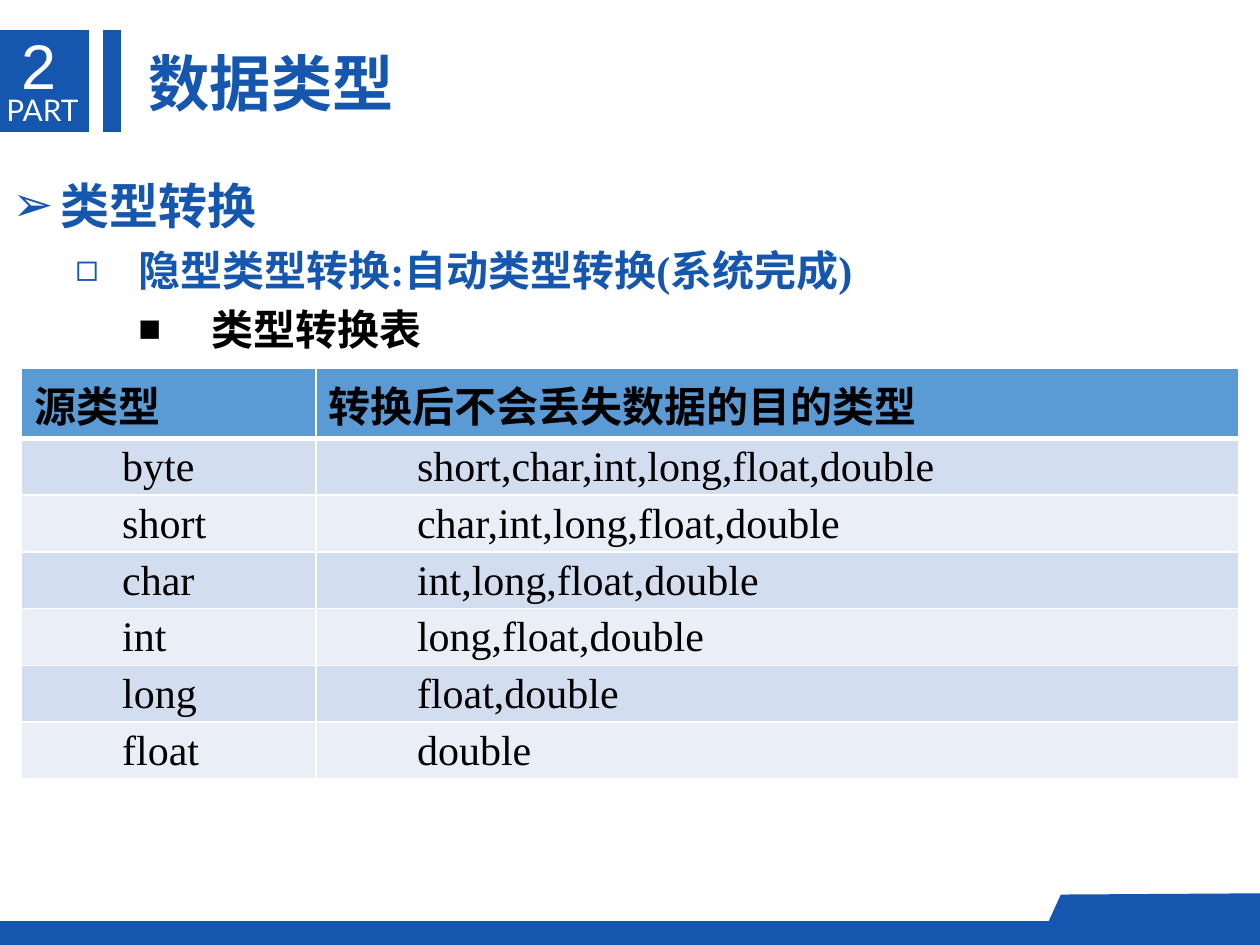
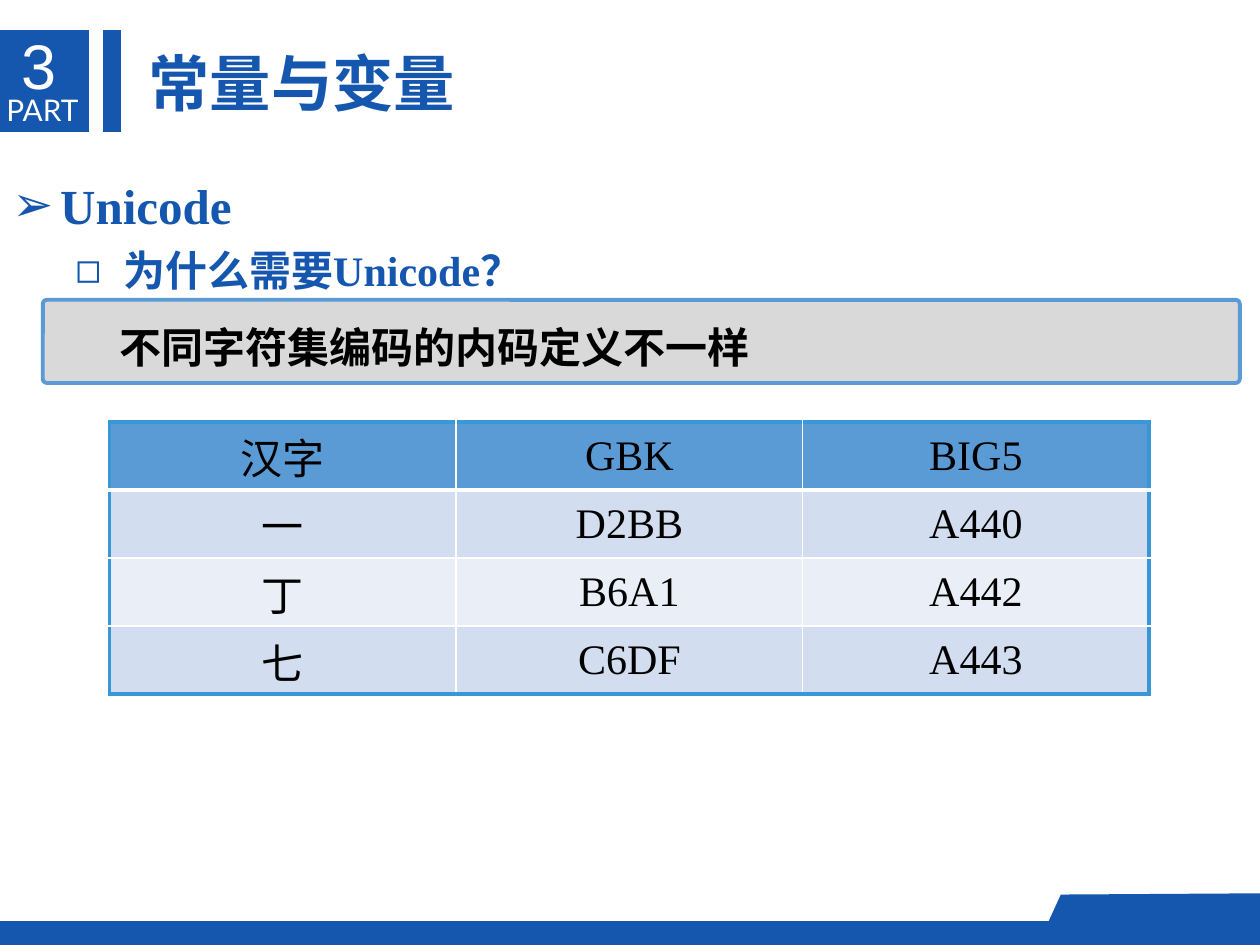
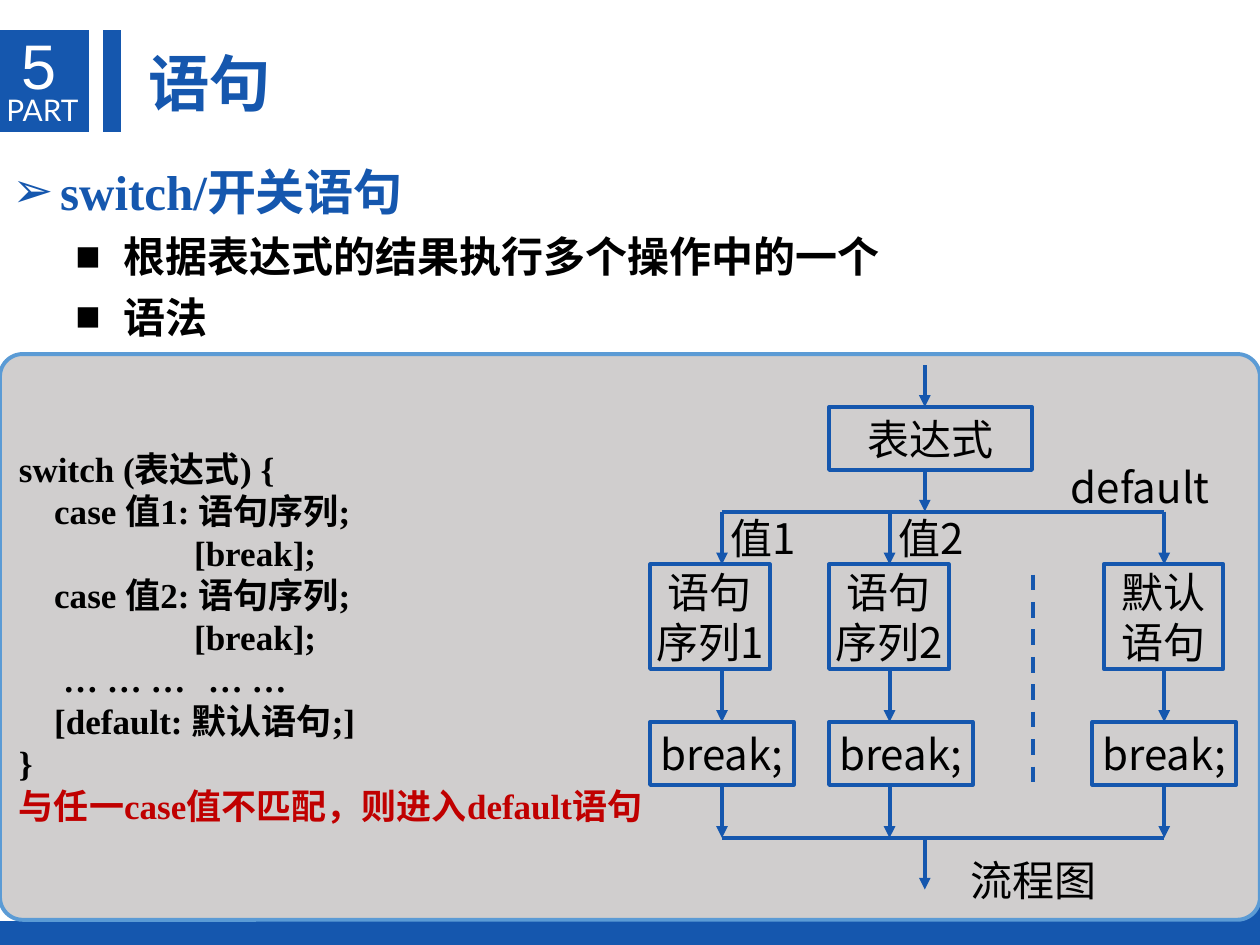
"""Build three Java lesson slides: type conversion, Unicode and the switch statement."""
from lxml import etree
from pptx import Presentation, util as u
from pptx.dml.color import RGBColor
from pptx.enum import dml, shapes, text
from pptx.oxml import ns

COLORS = dict(blue="1557AE", white="FFFFFF", black="000000", red="C00000", header="5B9BD5",
              odd="D2DEEF", even="EAEFF7", frame="3A97D7", note="D9D9D9", panel="D0CECE")
SERIF, SANS = "Times New Roman", "Noto Sans CJK SC"
WIDTH, HEIGHT = 10, 7.5
LINE = 2.25

HEAD = dict(size=28, color="blue", bullet="➢", left=0.38, hang=0.38, spacing=1.2)
QUESTION = dict(HEAD, size=24, bullet="◻", left=0.88)
POINT = dict(QUESTION, color="black", bullet="■")

CONVERSION_TOPICS = [
    ("类型转换", dict(HEAD, font=SANS)),
    ("隐型类型转换:自动类型转换(系统完成)", dict(QUESTION, left=1, hang=0.5, bullet_size=90)),
    ("类型转换表", dict(POINT, left=1.58, hang=0.58, bullet_size=90, spacing=None, before=4.8)),
]
TARGETS = ["short", "char", "int", "long", "float", "double"]
CONVERSIONS = [("源类型", "转换后不会丢失数据的目的类型")] + [
    (source, ",".join(TARGETS[i:])) for i, source in enumerate(["byte"] + TARGETS[:-1])]

UNICODE_TOPICS = [("Unicode", HEAD), ("为什么需要Unicode？", QUESTION)]
UNICODE_NOTE = "不同字符集编码的内码定义不一样"
CODES = [("汉字", "GBK", "BIG5"), ("一", "D2BB", "A440"),
         ("丁", "B6A1", "A442"), ("七", "C6DF", "A443")]

SWITCH_TOPICS = [("switch/开关语句", HEAD),
                 ("根据表达式的结果执行多个操作中的一个", POINT), ("语法", POINT)]
CODE = [("switch (表达式) {", 0), ("case 值1: 语句序列;", 0.28), ("[break];", 1.39),
        ("case 值2: 语句序列;", 0.28), ("[break];", 1.39), ("… … …\t… …", 0.35),
        ("[default: 默认语句;]", 0.28), ("}", 0)]
FALLTHROUGH = "与任一case值不匹配，则进入default语句"
BRANCHES = [(5.73, 5.16, 5.16, ["语句", "序列1"]), (7.06, 6.58, 6.58, ["语句", "序列2"]),
            (9.24, 8.76, 8.67, ["默认", "语句"])]
FLOW_LABELS = [("值1", 5.73, 4.06, 0.66, 0.42), ("值2", 7.06, 4.06, 0.66, 0.42),
               ("default", 8.48, 3.65, 1.14, 0.42), ("流程图", 7.44, 6.73, 1.52, 0.5)]


def rgb(name):
    return RGBColor.from_string(COLORS[name])


def sub(parent, tag, **attributes):
    return etree.SubElement(parent, ns.qn("a:" + tag), attributes)


def write(frame, paragraphs, inset=None, anchor="TOP", wrap=True, **common):
    """Fill a text frame with strings or (string, format) pairs."""
    frame.word_wrap = wrap
    frame.vertical_anchor = text.MSO_ANCHOR[anchor]
    if inset is not None:
        frame.margin_left = frame.margin_right = frame.margin_top = frame.margin_bottom = u.Inches(inset)
    for i, item in enumerate(paragraphs):
        words, own = item if isinstance(item, tuple) else (item, {})
        paragraph = frame.paragraphs[0] if i == 0 else frame.add_paragraph()
        format_text(paragraph, words, **{**common, **own})


def format_text(paragraph, words, size=24, font=SERIF, color="black", bold=True, align="LEFT",
                left=0, hang=0, spacing=None, before=0, bullet=None, bullet_size=100, tab=None):
    run = paragraph.add_run()
    run.text = words
    run.font.size, run.font.name, run.font.bold = u.Pt(size), font, bold
    run.font.color.rgb = rgb(color)
    sub(run.font._element, "ea", typeface=SANS)
    paragraph.alignment = text.PP_ALIGN[align]
    paragraph.space_before = u.Pt(before)
    if spacing:
        paragraph.line_spacing = spacing
    props = paragraph._p.get_or_add_pPr()
    props.set("marL", str(u.Inches(left)))
    props.set("indent", str(u.Inches(-hang)))
    if bullet:
        sub(props, "buSzPct", val=str(bullet_size * 1000))
        sub(props, "buFont", typeface="Arial")
        sub(props, "buChar", char=bullet)
    else:
        sub(props, "buNone")
    if tab:
        sub(sub(props, "tabLst"), "tab", pos=str(u.Inches(tab)), algn="l")


def text_box(slide, box, paragraphs, **style):
    write(slide.shapes.add_textbox(*map(u.Inches, box)).text_frame, paragraphs, **style)


def paint(shape, fill=None, line=None):
    shape.shadow.inherit = False
    if fill:
        shape.fill.solid()
        shape.fill.fore_color.rgb = rgb(fill)
    else:
        shape.fill.background()
    if line:
        shape.line.color.rgb, shape.line.width = rgb(line), u.Pt(LINE)
    else:
        shape.line.fill.background()


def add_shape(slide, kind, box, fill=None, line=None, corner=None):
    shape = slide.shapes.add_shape(shapes.MSO_SHAPE[kind], *map(u.Inches, box))
    paint(shape, fill, line)
    if corner:
        shape.adjustments[0] = corner
    return shape


def connect(slide, x1, y1, x2, y2, arrow=True, dashed=False):
    link = slide.shapes.add_connector(shapes.MSO_CONNECTOR.STRAIGHT, *map(u.Inches, (x1, y1, x2, y2)))
    link.line.color.rgb, link.line.width = rgb("blue"), u.Pt(LINE)
    if dashed:
        link.line.dash_style = dml.MSO_LINE.DASH
    if arrow:
        sub(link.line._get_or_add_ln(), "tailEnd", type="triangle")
    sub(link._element.spPr, "effectLst")


def add_table(slide, box, rows, widths, heights, outer, cell_style, header_style):
    table = slide.shapes.add_table(len(rows), len(widths), *map(u.Inches, box)).table
    for column, width in zip(table.columns, widths):
        column.width = u.Inches(width)
    last_row, last_column = len(rows) - 1, len(widths) - 1
    for r, row in enumerate(rows):
        table.rows[r].height = u.Inches(heights[r])
        for c, words in enumerate(row):
            cell = table.cell(r, c)
            style = dict(cell_style if r else header_style)
            if style.pop("tight", False):
                cell.margin_left = cell.margin_right = cell.margin_top = u.Inches(0.01)
                cell.margin_bottom = 0
                cell.vertical_anchor = text.MSO_ANCHOR.MIDDLE
            format_text(cell.text_frame.paragraphs[0], words, **style)
            props = cell._tc.get_or_add_tcPr()
            inner = ("white", 1)
            rule = ("white", 3)
            sides = dict(lnL=inner if c else outer, lnR=outer if c == last_column else inner,
                         lnT=(outer, inner, inner)[min(r, 2)] if r != 1 else rule,
                         lnB=rule if r == 0 else outer if r == last_row else inner)
            for side, (color, weight) in sides.items():
                edge = sub(props, side, w=str(u.Pt(weight)))
                sub(sub(edge, "solidFill"), "srgbClr", val=COLORS[color])
            cell.fill.solid()
            cell.fill.fore_color.rgb = rgb("header" if r == 0 else "odd" if r % 2 else "even")


def start_slide(prs, part, heading, topics, top, height):
    """Add a slide with its bands, part badge, title and bulleted topics."""
    slide = prs.slides.add_slide(prs.slide_layouts[5])
    for box in [(0, 0.24, 0.71, 0.81), (0.82, 0.24, 0.14, 0.81), (0, 7.31, WIDTH, 0.19)]:
        add_shape(slide, "FLOWCHART_PROCESS", box, "blue")
    corner = slide.shapes.build_freeform(u.Inches(WIDTH), u.Inches(7.45))
    corner.add_line_segments([(u.Inches(x), u.Inches(y))
                              for x, y in [(WIDTH, 7.09), (8.42, 7.1), (8.26, 7.45)]])
    paint(corner.convert_to_shape(), "blue")
    badge = dict(color="white", bold=False, wrap=False)
    text_box(slide, (0.05, 0.73, 0.6, 0.29), ["PART"], inset=0, size=17, font="Lato", **badge)
    text_box(slide, (0.07, 0.16, 0.53, 0.71), [part], size=36, font="Arial", **badge)
    title = slide.shapes.title
    title.left, title.top, title.width, title.height = map(
        u.Inches, (1.08, 0.31, 0.2 + 0.49 * len(heading), 0.69))
    write(title.text_frame, [heading], size=35, font=SANS, color="blue", wrap=False)
    text_box(slide, (0, top, WIDTH, height), topics)
    return slide


def conversion_slide(prs):
    slide = start_slide(prs, "2", "数据类型", CONVERSION_TOPICS, 1.25, 1.64)
    add_table(slide, (0.17, 2.92, 9.66, 3.26), CONVERSIONS, [2.34, 7.32], [0.56] + [0.45] * 6,
              ("white", 1), dict(bold=False, left=0.79, tight=True), {})


def unicode_slide(prs):
    slide = start_slide(prs, "3", "常量与变量", UNICODE_TOPICS, 1.25, 4.02)
    centred = dict(bold=False, align="CENTER", tight=True)
    add_table(slide, (0.87, 3.35, 8.26, 2.15), CODES, [2.75] * 3, [0.54] * 4,
              ("frame", LINE), centred, centred)
    note = add_shape(slide, "ROUNDED_RECTANGLE", (0.34, 2.38, 9.5, 0.66), "note", "header", 0.05)
    write(note.text_frame, [UNICODE_NOTE], anchor="MIDDLE", font=SANS, align="JUSTIFY",
          hang=-0.5, spacing=1.2)


def switch_slide(prs):
    slide = start_slide(prs, "5", "语句", SWITCH_TOPICS, 1.14, 1.59)
    panel = add_shape(slide, "ROUNDED_RECTANGLE", (0, 2.81, WIDTH, 4.49), "panel", "header", 0.04)
    lines = [(words, dict(hang=-indent, tab=1.75 if "\t" in words else None)) for words, indent in CODE]
    write(panel.text_frame, lines + [(FALLTHROUGH, dict(color="red"))], anchor="MIDDLE", size=20)

    label = dict(inset=0, anchor="MIDDLE", wrap=False, font=SANS, bold=False, align="CENTER")

    def step(box, words):
        write(add_shape(slide, "RECTANGLE", box, line="blue").text_frame, words, **label)

    middle, split, merge = 7.34, 4.06, 6.65
    step((6.58, 3.23, 1.61, 0.5), ["表达式"])
    for start, end in [(2.9, 3.23), (3.73, split), (merge, 7.06)]:
        connect(slide, middle, start, middle, end)
    for y in (split, merge):
        connect(slide, BRANCHES[0][0], y, BRANCHES[-1][0], y, arrow=False)
    for x, action_left, break_left, action in BRANCHES:
        step((action_left, 4.48, 0.95, 0.83), action)
        step((break_left, 5.73, 1.14, 0.5), ["break;"])
        for start, end in [(split, 4.48), (5.31, 5.73), (6.23, merge)]:
            connect(slide, x, start, x, end)
    connect(slide, 8.2, 4.56, 8.2, 6.23, arrow=False, dashed=True)
    for words, *box in FLOW_LABELS:
        text_box(slide, box, [words], **label)


def main():
    prs = Presentation()
    prs.slide_width, prs.slide_height = u.Inches(WIDTH), u.Inches(HEIGHT)
    conversion_slide(prs)
    unicode_slide(prs)
    switch_slide(prs)
    prs.save("out.pptx")


if __name__ == "__main__":
    main()
